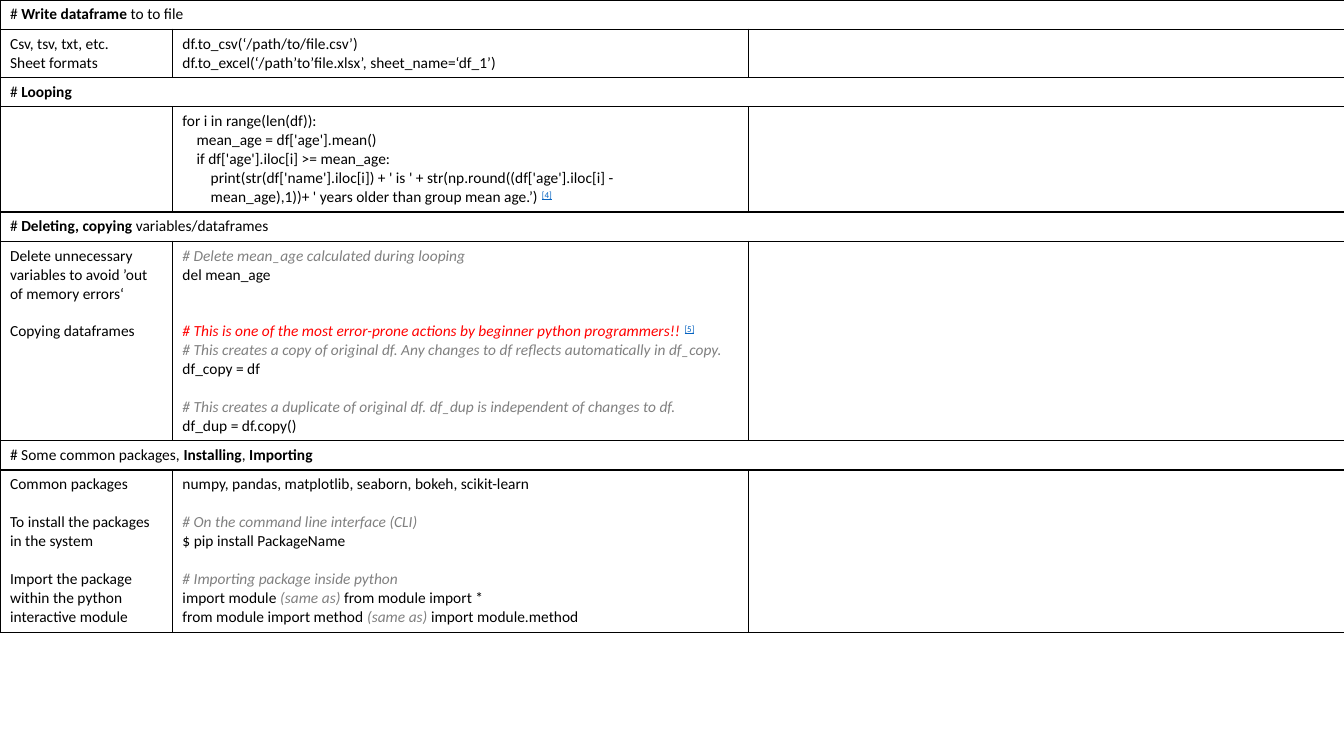
import pptx
import pptx.util
import pptx.dml.color
import lxml.etree
from pptx.oxml.ns import qn

Inches, Pt = pptx.util.Inches, pptx.util.Pt

COLORS = {"text": "000000", "note": "808080", "warn": "FF0000", "ref": "0563C1"}
FONT, SIZE, LEAD = "Calibri", 11, 13.43
STEP = 0.14  # inches per code indent level
COLS = [1.71, 5.71, 5.92]


# A line is (blank lines above, indent level, runs); a run is (text, style)
def line(text, style="text", gap=0, level=0):
    return gap, level, [(text, style)]


def mixed(*runs, gap=0, level=0):
    return gap, level, runs


# Each section: heading runs, body height, label lines, code lines
HEAD = 0.29
SECTIONS = [
    ([("# ", "text"), ("Write dataframe ", "bold"), ("to to file", "text")], 0.48,
     [line("Csv, tsv, txt, etc."), line("Sheet formats")],
     [line("df.to_csv(‘/path/to/file.csv’)"),
      line("df.to_excel(‘/path’to’file.xlsx’, sheet_name=‘df_1’)")]),
    ([("# ", "text"), ("Looping", "bold")], 1.04,
     [],
     [line("for i in range(len(df)):"),
      line("mean_age = df['age'].mean()", level=1),
      line("if df['age'].iloc[i] >= mean_age:", level=1),
      line("print(str(df['name'].iloc[i]) + ' is ' + str(np.round((df['age'].iloc[i] -", level=2),
      mixed(("mean_age),1))+ ' years older than group mean age.’) ", "text"), ("[4]", "ref"),
            level=2)]),
    ([("# ", "text"), ("Deleting, copying", "bold"), (" variables/dataframes", "text")], 1.98,
     [line("Delete unnecessary variables to avoid ’out of memory errors‘"),
      line("Copying dataframes", gap=1)],
     [line("# Delete mean_age calculated during looping", "note"),
      line("del mean_age"),
      mixed(("# This is one of the most error-prone actions by beginner python programmers!! ",
             "warn"), ("[5]", "ref"), gap=2),
      line("# This creates a copy of original df. Any changes to df reflects automatically "
           "in df_copy.", "note"),
      line("df_copy = df"),
      line("# This creates a duplicate of original df. df_dup is independent of changes to df.",
           "note", gap=1),
      line("df_dup = df.copy()")]),
    ([("# Some common packages, ", "text"), ("Installing", "bold"), (", ", "text"),
      ("Importing", "bold")], 1.61,
     [line("Common packages"),
      line("To install the packages in the system", gap=1),
      line("Import the package within the python interactive module", gap=1)],
     [line("numpy, pandas, matplotlib, seaborn, bokeh, scikit-learn"),
      line("# On the command line interface (CLI)", "note", gap=1),
      line("$ pip install PackageName"),
      line("# Importing package inside python", "note", gap=1),
      mixed(("import module ", "text"), ("(same as) ", "note"), ("from module import *", "text")),
      mixed(("from module import method ", "text"), ("(same as) ", "note"),
            ("import module.method", "text"))]),
]


def write(cell, lines):
    frame = cell.text_frame
    for n, (gap, level, runs) in enumerate(lines):
        para = frame.add_paragraph() if n else frame.paragraphs[0]
        para.font.name, para.font.size = FONT, Pt(SIZE)
        para.space_before = Pt(gap * LEAD)
        if level:
            para._p.get_or_add_pPr().set("marL", str(Inches(level * STEP)))
        for text, style in runs:
            run = para.add_run()
            run.text = text
            font = run.font
            font.name, font.size = FONT, Pt(SIZE)
            font.bold = style == "bold"
            font.italic = style in ("note", "warn")
            color = COLORS.get(style, COLORS["text"])
            font.color.rgb = pptx.dml.color.RGBColor.from_string(color)
            if style == "ref":
                font.underline = True
                run._r.get_or_add_rPr().set("baseline", "30000")


def border(cell):
    props = cell._tc.get_or_add_tcPr()
    for side in ("lnL", "lnR", "lnT", "lnB"):
        edge = lxml.etree.SubElement(props, qn("a:" + side), w=str(Pt(1)))
        fill = lxml.etree.SubElement(edge, qn("a:solidFill"))
        lxml.etree.SubElement(fill, qn("a:srgbClr"), val=COLORS["text"])


def main():
    deck = pptx.Presentation()
    deck.slide_width, deck.slide_height = Inches(13.33), Inches(7.5)
    slide = deck.slides.add_slide(deck.slide_layouts[6])

    # Table grid
    rows = [size for section in SECTIONS for size in (HEAD, section[1])]
    table = slide.shapes.add_table(len(rows), len(COLS), 0, 0,
                                   Inches(sum(COLS)), Inches(sum(rows))).table
    table.first_row = table.horz_banding = False
    for col, width in zip(table.columns, COLS):
        col.width = Inches(width)
    for row, height in zip(table.rows, rows):
        row.height = Inches(height)
    for cell in table.iter_cells():
        border(cell)
        cell.fill.background()

    # Headings and bodies
    for n, (title, _, labels, code) in enumerate(SECTIONS):
        head = table.cell(2 * n, 0)
        head.merge(table.cell(2 * n, len(COLS) - 1))
        write(head, [mixed(*title)])
        write(table.cell(2 * n + 1, 0), labels)
        write(table.cell(2 * n + 1, 1), code)

    deck.save("out.pptx")


if __name__ == "__main__":
    main()
